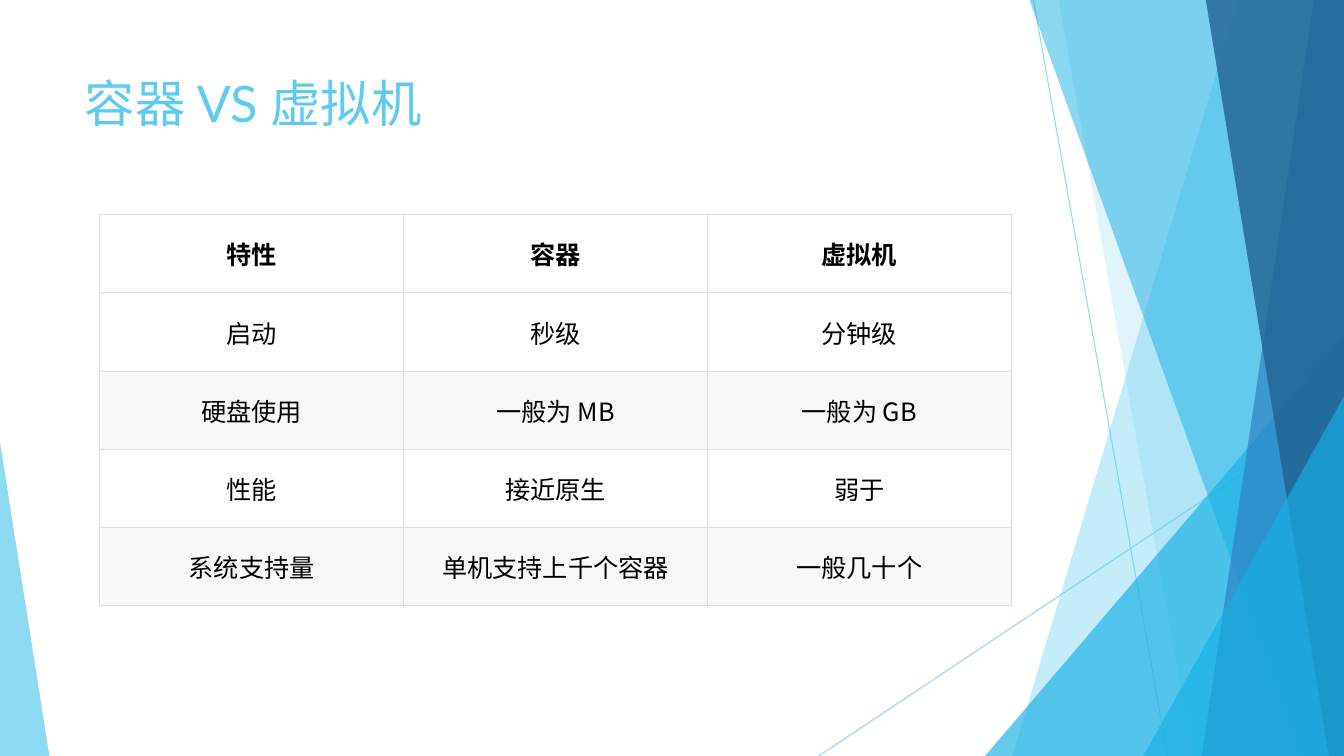
from lxml import etree
from pptx import Presentation
from pptx.dml.color import RGBColor
from pptx.enum.shapes import MSO_CONNECTOR, MSO_SHAPE
from pptx.enum.text import MSO_ANCHOR, PP_ALIGN
from pptx.oxml.ns import qn
from pptx.util import Inches, Pt

WIDTH, HEIGHT = 13.33, 7.5
SKY, AZURE, BLUE, NAVY = "5FCBEF", "17B0E4", "2E83C3", "226292"
CJK_FONT = "Noto Sans CJK SC"


def paint(shape, fill, color, opacity):
    """Give a shape's fill or line a see-through colour (opacity in percent) and no shadow."""
    fill.solid()
    fill.fore_color.rgb = RGBColor.from_string(color)
    for color_element in shape.element.spPr.iter(qn("a:srgbClr")):
        etree.SubElement(color_element, qn("a:alpha"), val=str(opacity * 1000))
    etree.SubElement(shape.element.spPr, qn("a:effectLst"))


def add_run(paragraph, text, size, color, latin_font, bold=False):
    run = paragraph.add_run()
    run.text = text
    run.font.size = Pt(size)
    run.font.bold = bold
    run.font.color.rgb = RGBColor.from_string(color)
    run.font.name = latin_font
    etree.SubElement(run.font._element, qn("a:ea"), typeface=CJK_FONT)


presentation = Presentation()
presentation.slide_width = Inches(WIDTH)
presentation.slide_height = Inches(HEIGHT)
slide = presentation.slides.add_slide(presentation.slide_layouts[5])
shapes = slide.shapes

# Thin crossing lines
for start_x, start_y, end_x in [(10.25, 0, 11.58), (WIDTH, 4.03, 8.12)]:
    line = shapes.add_connector(MSO_CONNECTOR.STRAIGHT, Inches(start_x), Inches(start_y),
                                Inches(end_x), Inches(HEIGHT))
    line.line.width = Pt(0.75)
    paint(line, line.line.fill, SKY, 70)

# Facets from back to front: a ribbon has its top and bottom left x and runs to the right edge;
# a triangle has left, top, right and apex position and stands on the bottom edge
facets = [
    ("ribbon", (12.28, 10.04), SKY, 36),
    ("ribbon", (10.5, 11.83), SKY, 20),
    ("triangle", (9.77, 3.33, WIDTH, 1), AZURE, 66),
    ("ribbon", (10.21, 12.91), AZURE, 50),
    ("ribbon", (13.03, 11.92), BLUE, 70),
    ("ribbon", (11.96, 13.18), NAVY, 80),
    ("triangle", (11.34, 3.93, WIDTH, 1), AZURE, 66),
    ("triangle", (0, 4.39, 0.49, 0), SKY, 70),
]
for kind, geometry, color, opacity in facets:
    if kind == "ribbon":
        top_x, bottom_x = geometry
        builder = shapes.build_freeform(Inches(top_x), 0)
        corners = [(WIDTH, 0), (WIDTH, HEIGHT), (bottom_x, HEIGHT)]
        builder.add_line_segments([(Inches(x), Inches(y)) for x, y in corners], close=True)
        facet = builder.convert_to_shape()
    else:
        left, top, right, apex = geometry
        facet = shapes.add_shape(MSO_SHAPE.ISOSCELES_TRIANGLE, Inches(left), Inches(top),
                                 Inches(right - left), Inches(HEIGHT - top))
        facet.adjustments[0] = apex
    facet.line.fill.background()
    paint(facet, facet.fill, color, opacity)

# Title
title = shapes.title
title.left, title.top, title.width, title.height = map(Inches, (0.74, 0.67, 9.4, 0.7))
title.text_frame.vertical_anchor = MSO_ANCHOR.MIDDLE
title.text_frame.word_wrap = True
title_paragraph = title.text_frame.paragraphs[0]
title_paragraph.alignment = PP_ALIGN.LEFT
add_run(title_paragraph, "容器 VS 虚拟机", 36, SKY, "Lato")

# Comparison table
rows = [
    ("特性", "容器", "虚拟机"),
    ("启动", "秒级", "分钟级"),
    ("硬盘使用", "一般为 MB", "一般为 GB"),
    ("性能", "接近原生", "弱于"),
    ("系统支持量", "单机支持上千个容器", "一般几十个"),
]
table = shapes.add_table(len(rows), 3, Inches(0.99), Inches(2.13), Inches(9.04), Inches(3.88)).table
for row_index, texts in enumerate(rows):
    for column_index, text in enumerate(texts):
        cell = table.cell(row_index, column_index)
        cell.margin_left = cell.margin_right = Inches(0.14)
        cell.margin_top = cell.margin_bottom = Inches(0.06)
        cell.vertical_anchor = MSO_ANCHOR.MIDDLE
        properties = cell._tc.get_or_add_tcPr()
        for side in ("a:lnL", "a:lnR", "a:lnT", "a:lnB"):
            border = etree.SubElement(properties, qn(side), w=str(Pt(0.75)))
            border_fill = etree.SubElement(border, qn("a:solidFill"))
            etree.SubElement(border_fill, qn("a:srgbClr"), val="DDDDDD")
        is_shaded = row_index > 0 and row_index % 2 == 0
        cell.fill.solid()
        cell.fill.fore_color.rgb = RGBColor.from_string("F8F8F8" if is_shaded else "FFFFFF")
        paragraph = cell.text_frame.paragraphs[0]
        paragraph.alignment = PP_ALIGN.CENTER
        add_run(paragraph, text, 18, "000000", CJK_FONT, bold=row_index == 0)

presentation.save("out.pptx")
